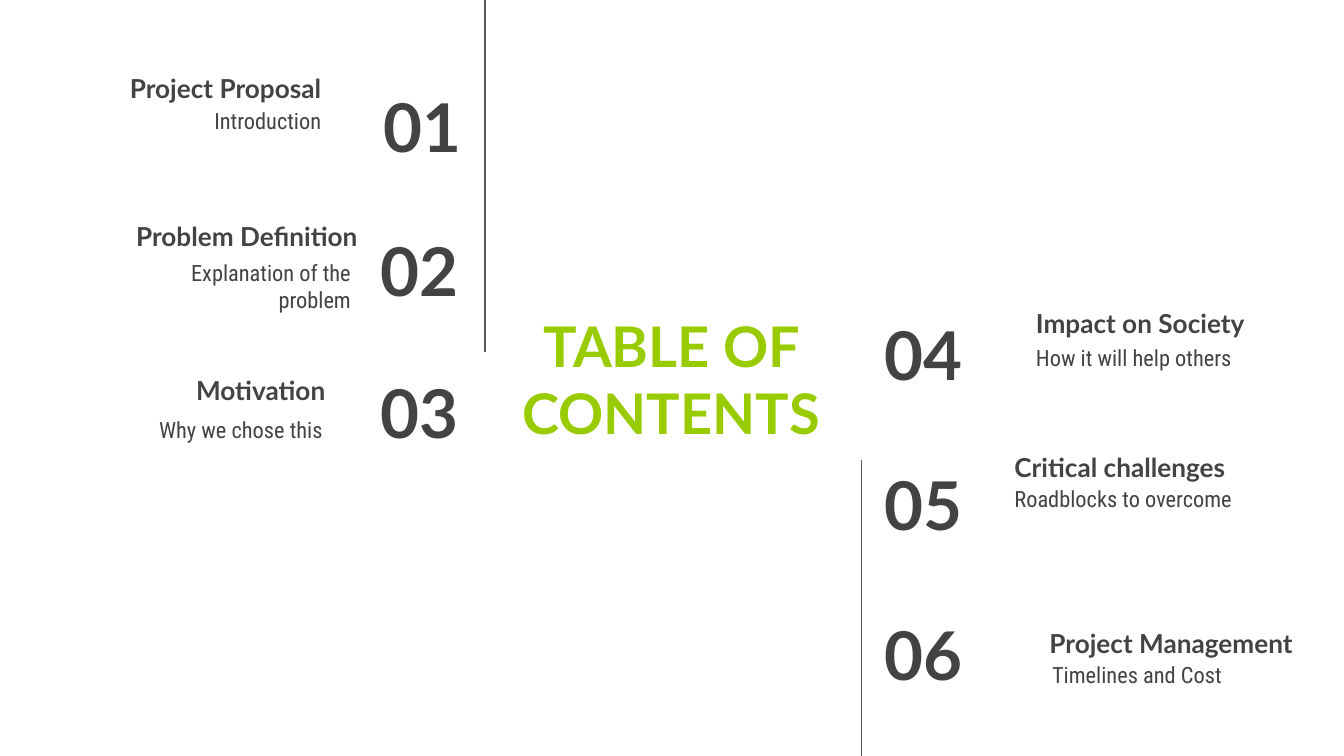
from pptx import Presentation
from pptx.dml.color import RGBColor
from pptx.enum.shapes import MSO_CONNECTOR
from pptx.enum.text import MSO_ANCHOR, PP_ALIGN
from pptx.oxml.ns import qn
from pptx.util import Inches, Pt
from lxml.etree import SubElement

GREEN = RGBColor(0x99, 0xCC, 0x00)
DARK = RGBColor(0x43, 0x43, 0x43)
GREY = RGBColor(0x59, 0x59, 0x59)

COLS, ROWS = 100, 56.25
W, H = Inches(10), Inches(5.625)
LINE_H = 6.3

TITLE = dict(name="Lato", size=Pt(30), bold=True, color=GREEN)
NUMBER = dict(name="Lato", size=Pt(36), bold=True, color=DARK)
HEADING = dict(name="Lato", size=Pt(14), bold=True, color=DARK)
DETAIL = dict(name="Roboto Condensed", size=Pt(12), bold=False, color=DARK)

PARTS = (
    (12, MSO_ANCHOR.MIDDLE, NUMBER),
    (21.6, MSO_ANCHOR.BOTTOM, HEADING),
    (18.3, MSO_ANCHOR.TOP, DETAIL),
)

LEFT_ENTRIES = (
    (("01", 0.8, 6.2), ("Project Proposal", 11.2, 2.4), ("Introduction", 11.2, 7)),
    (("02", 1, 16.9), ("Problem Definition", 8.5, 13.4),
     ("Explanation of the problem", 9, 18.3)),
    (("03", 1, 27.5), ("Motivation", 10.9, 24.9), ("Why we chose this", 11.1, 30)),
)
RIGHT_ENTRIES = (
    (("04", 0.7, 23.2), ("Impact on Society", 12, 19.9),
     ("How it will help others", 12, 24.6)),
    (("05", 0.7, 34.3), ("Critical challenges", 10.4, 30.6),
     ("Roadblocks to overcome", 10.4, 35.1)),
    (("06", 0.7, 45.5), ("Project Management", 13, 43.7),
     ("Timelines and Cost", 13.2, 48.2)),
)


def col(n):
    """Convert grid columns to a length."""
    return round(W * n / COLS)


def row(n):
    """Convert grid rows to a length."""
    return round(H * n / ROWS)


def add_text(s, box, text, align, anchor, fmt):
    """Add a text box at a grid box with the given format."""
    x, y, w, h = box
    tf = s.shapes.add_textbox(col(x), row(y), col(w), row(h)).text_frame
    frame = dict.fromkeys(
        ("margin_left", "margin_right", "margin_top", "margin_bottom"), Inches(0.1))
    frame.update(word_wrap=True, vertical_anchor=anchor)
    for key, value in frame.items():
        setattr(tf, key, value)
    p = tf.paragraphs[0]
    p.alignment = align
    r = p.add_run()
    r.text = text
    for key, value in fmt.items():
        if key == "color":
            r.font.color.rgb = value
        else:
            setattr(r.font, key, value)


def add_rule(s, x, top, bottom):
    """Add a thin vertical rule between two rows."""
    line = s.shapes.add_connector(
        MSO_CONNECTOR.STRAIGHT, col(x), row(top), col(x), row(bottom))
    line.line.color.rgb = GREY
    line.line.width = Pt(0.75)
    SubElement(line._element.spPr, qn("a:effectLst"))


def add_contents_column(s, box, entries, on_left, rule):
    """Place entries outward from the rule on the inner edge of a box."""
    x, y, w, h = box
    edge = x + w if on_left else x
    align = PP_ALIGN.RIGHT if on_left else PP_ALIGN.LEFT
    for entry in entries:
        for (text, gap, top), (width, anchor, fmt) in zip(entry, PARTS):
            left = edge - gap - width if on_left else edge + gap
            add_text(s, (left, y + top, width, LINE_H), text, align, anchor, fmt)
    start, end = rule
    add_rule(s, edge, y + start, y + min(end, h))


def add_title(s, box):
    """Place the centred slide title in a box."""
    add_text(s, box, "TABLE OF CONTENTS", PP_ALIGN.CENTER, MSO_ANCHOR.MIDDLE, TITLE)


def main():
    """Build and save the contents slide."""
    prs = Presentation()
    prs.slide_width, prs.slide_height = W, H
    s = prs.slides.add_slide(prs.slide_layouts[6])
    add_title(s, (37, 23, 25.9, 10.3))
    add_contents_column(s, (0, 0, 36.1, ROWS), LEFT_ENTRIES, True, (0, 26.2))
    add_contents_column(s, (64.1, 0, 35.9, ROWS), RIGHT_ENTRIES, False, (34.2, ROWS))
    prs.save("out.pptx")


if __name__ == "__main__":
    main()
